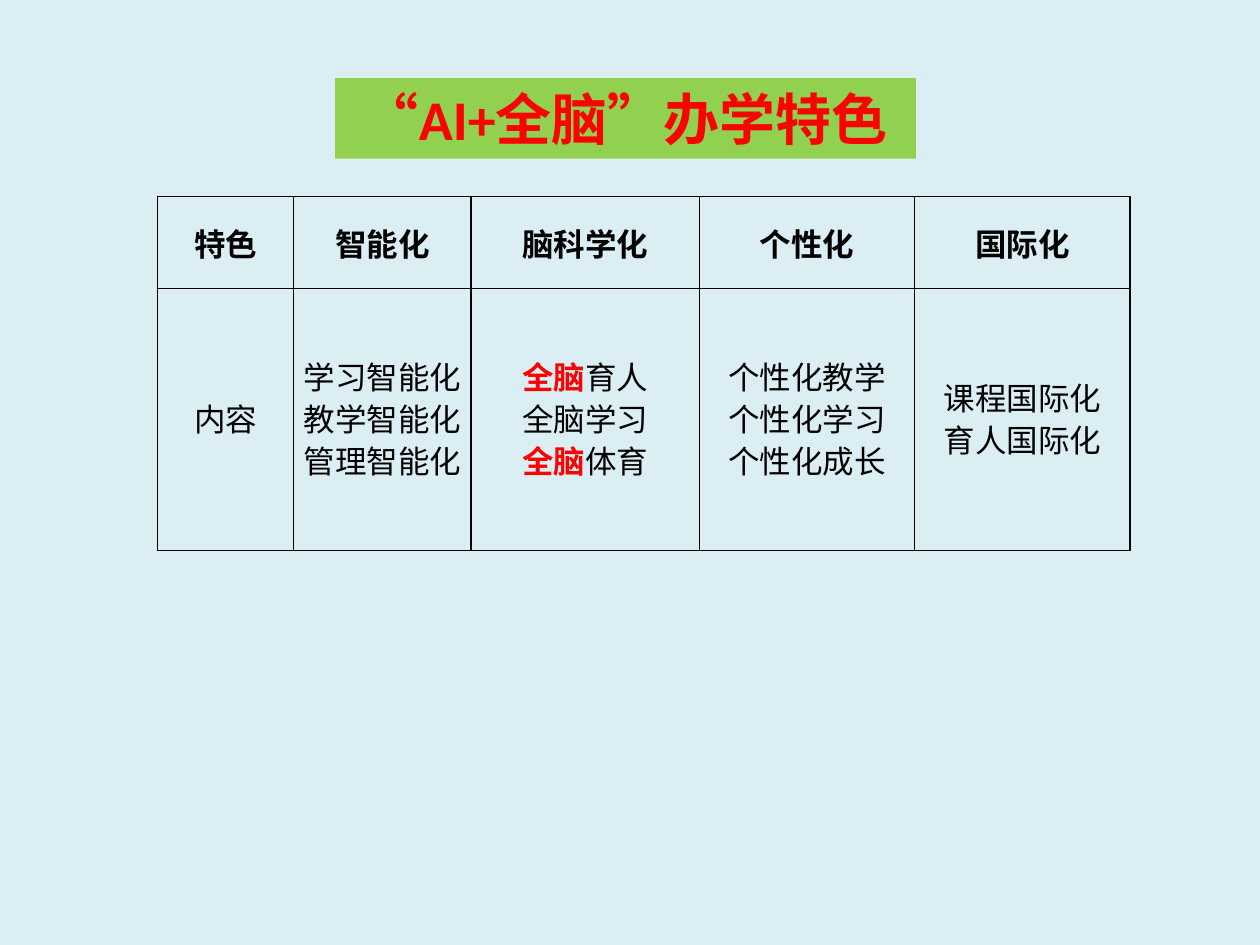
"""Build a slide with a title band and a table of school features."""
from lxml import etree
from pptx import Presentation
from pptx.dml.color import RGBColor
from pptx.enum.lang import MSO_LANGUAGE_ID
from pptx.enum.text import MSO_ANCHOR, PP_ALIGN
from pptx.oxml.ns import qn
from pptx.util import Inches, Pt

CENTER = PP_ALIGN.CENTER
MIDDLE = MSO_ANCHOR.MIDDLE
CHINESE = MSO_LANGUAGE_ID.SIMPLIFIED_CHINESE
FONT = "Calibri"
COLORS = {"page": "DBEEF4", "band": "92D050", "accent": "FF0000", "ink": "000000"}

HEADING = "“AI+全脑”办学特色"
FEATURES = [
    ("特色", ["内容"]),
    ("智能化", ["学习智能化", "教学智能化", "管理智能化"]),
    ("脑科学化", [("全脑", "育人"), "全脑学习", ("全脑", "体育")]),
    ("个性化", ["个性化教学", "个性化学习", "个性化成长"]),
    ("国际化", ["课程国际化", "育人国际化"]),
]
COLUMN_WIDTHS = [1.08, 1.41, 1.81, 1.71, 1.71]
ROW_HEIGHTS = [0.73, 2.08]
HEADING_BOX = (2.66, 0.62, 4.61, 0.64)
TABLE_CORNER = (1.25, 1.56)


def color(name):
    return RGBColor.from_string(COLORS[name])


def write(frame, lines, size=18, ink="ink", bold=False, spacing=None):
    """Write centred lines; a pair is an accented start and its plain rest."""
    for index, line in enumerate(lines):
        paragraph = frame.add_paragraph() if index else frame.paragraphs[0]
        paragraph.alignment = CENTER
        if spacing:
            paragraph.line_spacing = Pt(spacing)
        if isinstance(line, tuple):
            parts = [(line[0], "accent", True), (line[1], ink, bold)]
        else:
            parts = [(line, ink, bold)]
        for text, part_ink, part_bold in parts:
            run = paragraph.add_run()
            run.text = text
            run.font.name = FONT
            run.font.size = Pt(size)
            run.font.bold = part_bold
            run.font.color.rgb = color(part_ink)
            run.font.language_id = CHINESE


def style_cell(cell):
    """Centre the cell vertically, clear its fill and outline it."""
    cell.vertical_anchor = MIDDLE
    cell.margin_left = cell.margin_right = Inches(0.06)
    cell.margin_top = cell.margin_bottom = 0
    cell.fill.background()
    properties = cell._tc.get_or_add_tcPr()
    for index, side in enumerate(("a:lnL", "a:lnR", "a:lnT", "a:lnB")):
        border = etree.Element(qn(side), w=str(Pt(1)))
        fill = etree.SubElement(border, qn("a:solidFill"))
        etree.SubElement(fill, qn("a:srgbClr"), val=COLORS["ink"])
        properties.insert(index, border)


def add_heading(slide):
    heading = slide.shapes.title
    heading.left, heading.top, heading.width, heading.height = map(Inches, HEADING_BOX)
    heading.fill.solid()
    heading.fill.fore_color.rgb = color("band")
    heading.text_frame.vertical_anchor = MIDDLE
    heading.text_frame.word_wrap = False
    write(heading.text_frame, [HEADING], size=32, ink="accent", bold=True)


def add_features(slide):
    size = (sum(COLUMN_WIDTHS), sum(ROW_HEIGHTS))
    features = slide.shapes.add_table(
        len(ROW_HEIGHTS), len(FEATURES), *map(Inches, TABLE_CORNER + size)
    ).table
    features.first_row = features.horz_banding = False
    for row, height in zip(features.rows, ROW_HEIGHTS):
        row.height = Inches(height)
    for index, (feature, contents) in enumerate(FEATURES):
        features.columns[index].width = Inches(COLUMN_WIDTHS[index])
        top, bottom = features.cell(0, index), features.cell(1, index)
        style_cell(top)
        style_cell(bottom)
        write(top.text_frame, [feature], bold=True, spacing=26)
        write(bottom.text_frame, contents, spacing=24)


def main():
    deck = Presentation()
    deck.slide_width, deck.slide_height = Inches(10), Inches(7.5)
    slide = deck.slides.add_slide(deck.slide_layouts[5])
    slide.background.fill.solid()
    slide.background.fill.fore_color.rgb = color("page")
    add_features(slide)
    add_heading(slide)
    deck.save("out.pptx")


if __name__ == "__main__":
    main()
